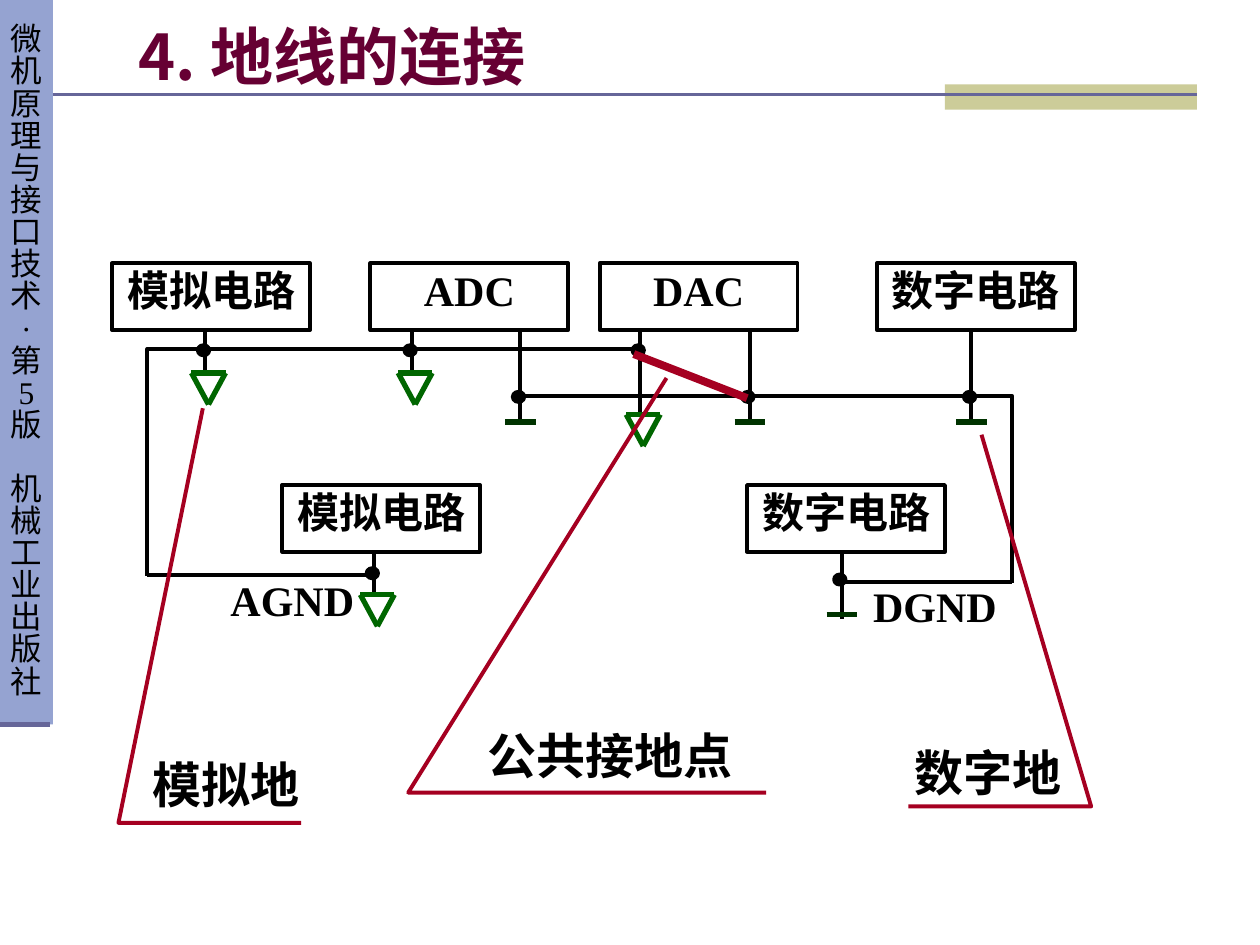
"""Build the slide on connecting analog and digital ground lines."""
from dataclasses import dataclass

from lxml import etree
from pptx import Presentation
from pptx.dml.color import RGBColor
from pptx.enum.shapes import MSO_CONNECTOR, MSO_SHAPE
from pptx.enum.text import MSO_ANCHOR, MSO_AUTO_SIZE, PP_ALIGN
from pptx.oxml.ns import qn
from pptx.util import Inches, Pt

STRAIGHT = MSO_CONNECTOR.STRAIGHT
RECTANGLE, OVAL = MSO_SHAPE.RECTANGLE, MSO_SHAPE.OVAL
MIDDLE, TOP = MSO_ANCHOR.MIDDLE, MSO_ANCHOR.TOP
LEFT, CENTER = PP_ALIGN.LEFT, PP_ALIGN.CENTER
NO_AUTOFIT = MSO_AUTO_SIZE.NONE
COLUMNS, ROWS = 100, 75
TITLE_ONLY = 5


@dataclass(frozen=True)
class Theme:
    """Colours, fonts and point sizes of the slide."""
    ink: str = "000000"
    title: str = "660033"
    band: str = "95A3D1"
    rule: str = "666699"
    accent: str = "CCCC99"
    analog: str = "006600"
    digital: str = "003300"
    callout: str = "A50021"
    serif: str = "Times New Roman"
    sans: str = "Arial"
    chinese: str = "Noto Sans CJK SC"
    title_size: float = 36
    callout_size: float = 28
    block_size: float = 24
    band_size: float = 18
    wire: float = 2.25
    symbol: float = 3
    bridge: float = 4.5


@dataclass(frozen=True)
class Pin:
    """A ground pin: column, and rows from the block down to dot and symbol."""
    column: float
    dot: float
    ground: float
    digital: bool = False
    overrun: float = 0


@dataclass(frozen=True)
class Block:
    """A circuit block with its ground pins."""
    label: str
    left: float
    top: float
    pins: tuple


@dataclass(frozen=True)
class Callout:
    """A label with its leader line."""
    label: str
    left: float
    top: float
    width: float
    leader: tuple


THEME = Theme()
BLOCK_WIDTH, BLOCK_HEIGHT = 15.7, 5.3
DOT_WIDTH, DOT_HEIGHT = 0.9, 0.8
BAND_TEXT = "微机原理与接口技术·第5版机械工业出版社"
PUBLISHER_START = BAND_TEXT.index("机械")

BLOCKS = (
    Block("模拟电路", 8.9, 20.9, (Pin(16.3, 1.6, 3.4),)),
    Block("数字电路", 69.6, 20.9, (Pin(77.1, 5.3, 7.3, True),)),
    Block("ADC", 29.4, 20.9, (Pin(32.7, 1.6, 3.4), Pin(41.3, 5.3, 7.3, True))),
    Block("DAC", 47.6, 20.9, (Pin(50.8, 1.6, 6.7), Pin(59.5, 5.3, 7.3, True))),
    Block("模拟电路", 22.4, 38.5, (Pin(29.7, 1.7, 3.4),)),
    Block("数字电路", 59.3, 38.5, (Pin(66.8, 2.2, 5, True, 0.3),)),
)
BUSES = (
    ((51, 27.7), (11.7, 27.7), (11.7, 45.7)),
    ((41, 31.4), (80.3, 31.4), (80.3, 46.3)),
)
RETURNS = (((29.9, 45.6), (11.7, 45.6)), ((66.8, 46.2), (80.3, 46.2)))
NET_NAMES = (("DGND", 68.6, 46), ("AGND", 17.6, 45.5))
CALLOUTS = (
    Callout("模拟地", 11.1, 59.4, 13.8, ((16.1, 32.4), (9.4, 65.3), (23.9, 65.3))),
    Callout("数字地", 71.6, 58.4, 13.8, ((77.9, 34.5), (86.6, 64), (72.1, 64))),
    Callout("公共接地点", 37.7, 57.1, 21.6, ((52.9, 30), (32.4, 62.9), (60.8, 62.9))),
)

deck = Presentation()
deck.slide_width, deck.slide_height = Inches(10), Inches(7.5)
slide = deck.slides.add_slide(deck.slide_layouts[TITLE_ONLY])


def place(column: float, row: float) -> tuple[int, int]:
    """Turn a grid position or extent into slide lengths."""
    return (round(deck.slide_width * column / COLUMNS),
            round(deck.slide_height * row / ROWS))


def write(shape, lines: str, size: float, font: str, color: str = THEME.ink,
          bold: bool = True, align=CENTER, anchor=TOP, inset: float | None = 0.01,
          wrap: bool = True) -> None:
    """Fill a shape with text and format its runs."""
    frame = shape.text_frame
    frame.text = lines
    frame.word_wrap, frame.vertical_anchor = wrap, anchor
    frame.auto_size = NO_AUTOFIT
    if inset is not None:
        frame.margin_left = frame.margin_right = Inches(inset)
        frame.margin_top = frame.margin_bottom = Inches(inset)
    for paragraph in frame.paragraphs:
        paragraph.alignment = align
        for run in paragraph.runs:
            run.font.name, run.font.size, run.font.bold = font, Pt(size), bold
            run.font.color.rgb = RGBColor.from_string(color)
            east_asian = etree.SubElement(run.font._element, qn("a:ea"))
            east_asian.set("typeface", THEME.chinese)


def stroke(shape, color: str, weight: float) -> None:
    """Give a shape or connector its line."""
    shape.line.color.rgb = RGBColor.from_string(color)
    shape.line.width = Pt(weight)


def draw_line(start: tuple, end: tuple, color: str = THEME.ink,
              weight: float = THEME.wire) -> None:
    """Draw a straight line between two grid points."""
    line = slide.shapes.add_connector(STRAIGHT, *place(*start), *place(*end))
    stroke(line, color, weight)
    etree.SubElement(line._element.spPr, qn("a:effectLst"))


def draw_path(points: tuple, color: str = THEME.ink) -> None:
    """Draw an open, unfilled polyline through grid points."""
    start, *rest = [place(*point) for point in points]
    builder = slide.shapes.build_freeform(*start)
    builder.add_line_segments(rest, close=False)
    path = builder.convert_to_shape()
    path.fill.background()
    path.shadow.inherit = False
    stroke(path, color, THEME.wire)


def draw_shape(kind, left: float, top: float, width: float, height: float,
               fill: str | None = None, line: str | None = None):
    """Draw a preset shape on the grid."""
    shape = slide.shapes.add_shape(kind, *place(left, top), *place(width, height))
    shape.shadow.inherit = False
    if fill:
        shape.fill.solid()
        shape.fill.fore_color.rgb = RGBColor.from_string(fill)
    else:
        shape.fill.background()
    if line:
        stroke(shape, line, THEME.wire)
    else:
        shape.line.fill.background()
    return shape


def draw_pin(pin: Pin, base: float) -> None:
    """Draw a pin's stem, ground symbol and junction dot."""
    x, y = pin.column, base + pin.ground
    draw_line((x, base), (x, y + pin.overrun))
    if pin.digital:
        draw_line((x - 1.2, y), (x + 1.2, y), THEME.digital, THEME.symbol)
    else:
        right, left, tip = (x + 1.6, y), (x - 1.1, y), (x + 0.25, y + 2.5)
        for start, end in ((right, tip), (left, tip), (right, left)):
            draw_line(start, end, THEME.analog, THEME.symbol)
    draw_shape(OVAL, x - 0.15 - DOT_WIDTH / 2, base + pin.dot - DOT_HEIGHT / 2,
               DOT_WIDTH, DOT_HEIGHT, THEME.ink, THEME.ink)


def draw_block(block: Block) -> None:
    """Draw a labelled circuit block and its pins."""
    box = draw_shape(RECTANGLE, block.left, block.top, BLOCK_WIDTH, BLOCK_HEIGHT,
                     line=THEME.ink)
    write(box, block.label, THEME.block_size, THEME.serif)
    for pin in block.pins:
        draw_pin(pin, block.top + BLOCK_HEIGHT)


def draw_frame() -> None:
    """Draw the side band, the rules and the title."""
    band = draw_shape(RECTANGLE, 0, 0, 4.2, 57.5, THEME.band)
    write(band, "\n".join(BAND_TEXT), THEME.band_size, THEME.serif, bold=False,
          anchor=MIDDLE, wrap=False)
    for paragraph in band.text_frame.paragraphs:
        paragraph.line_spacing = 0.85
    band.text_frame.paragraphs[PUBLISHER_START].space_before = Pt(THEME.band_size)
    draw_shape(RECTANGLE, 75, 6.7, 20, 2, THEME.accent)
    draw_line((4.2, 7.5), (95, 7.5), THEME.rule, 1.5)
    draw_line((0, 57.5), (4, 57.5), THEME.rule, THEME.symbol)
    title = slide.shapes.title
    title.left, title.top = place(10, 1.7)
    title.width, title.height = place(85, 5.3)
    write(title, "4. 地线的连接", THEME.title_size, THEME.chinese, THEME.title,
          align=LEFT, anchor=MIDDLE, inset=None)


def draw_callout(callout: Callout) -> None:
    """Draw a callout label and its leader."""
    label = slide.shapes.add_textbox(*place(callout.left, callout.top),
                                     *place(callout.width, 5.7))
    write(label, callout.label, THEME.callout_size, THEME.sans, align=LEFT,
          inset=None, wrap=False)
    draw_path(callout.leader, THEME.callout)


def main() -> None:
    """Draw the whole slide and save it."""
    draw_frame()
    for name, left, top in NET_NAMES:
        label = slide.shapes.add_textbox(*place(left, top), *place(11.2, 5.5))
        write(label, name, THEME.block_size, THEME.serif)
    for block in BLOCKS:
        draw_block(block)
    for bus in BUSES:
        draw_path(bus)
    for start, end in RETURNS:
        draw_line(start, end)
    draw_line((50.3, 28.1), (59.3, 31.6), THEME.callout, THEME.bridge)
    for callout in CALLOUTS:
        draw_callout(callout)
    deck.save("out.pptx")


if __name__ == "__main__":
    main()
